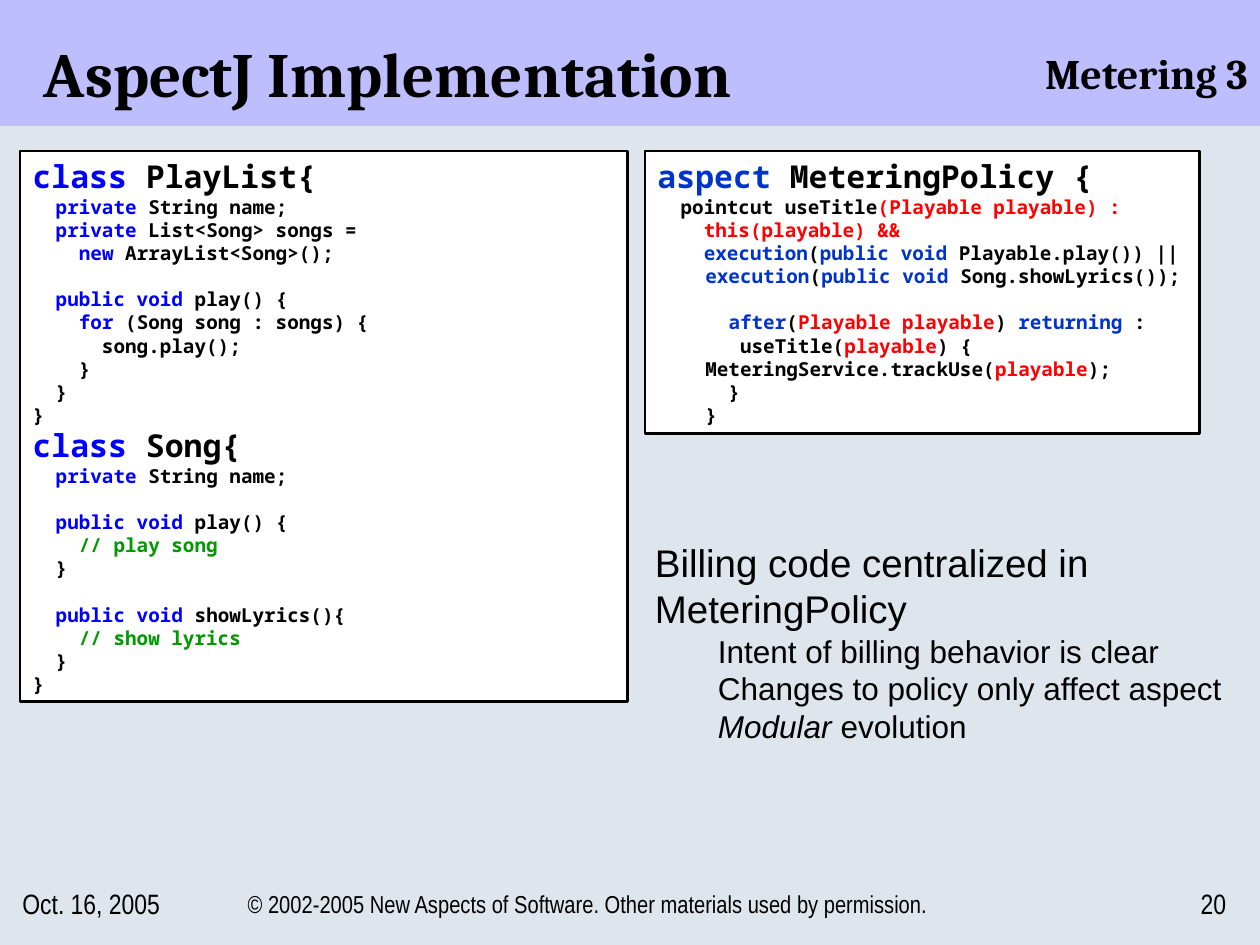
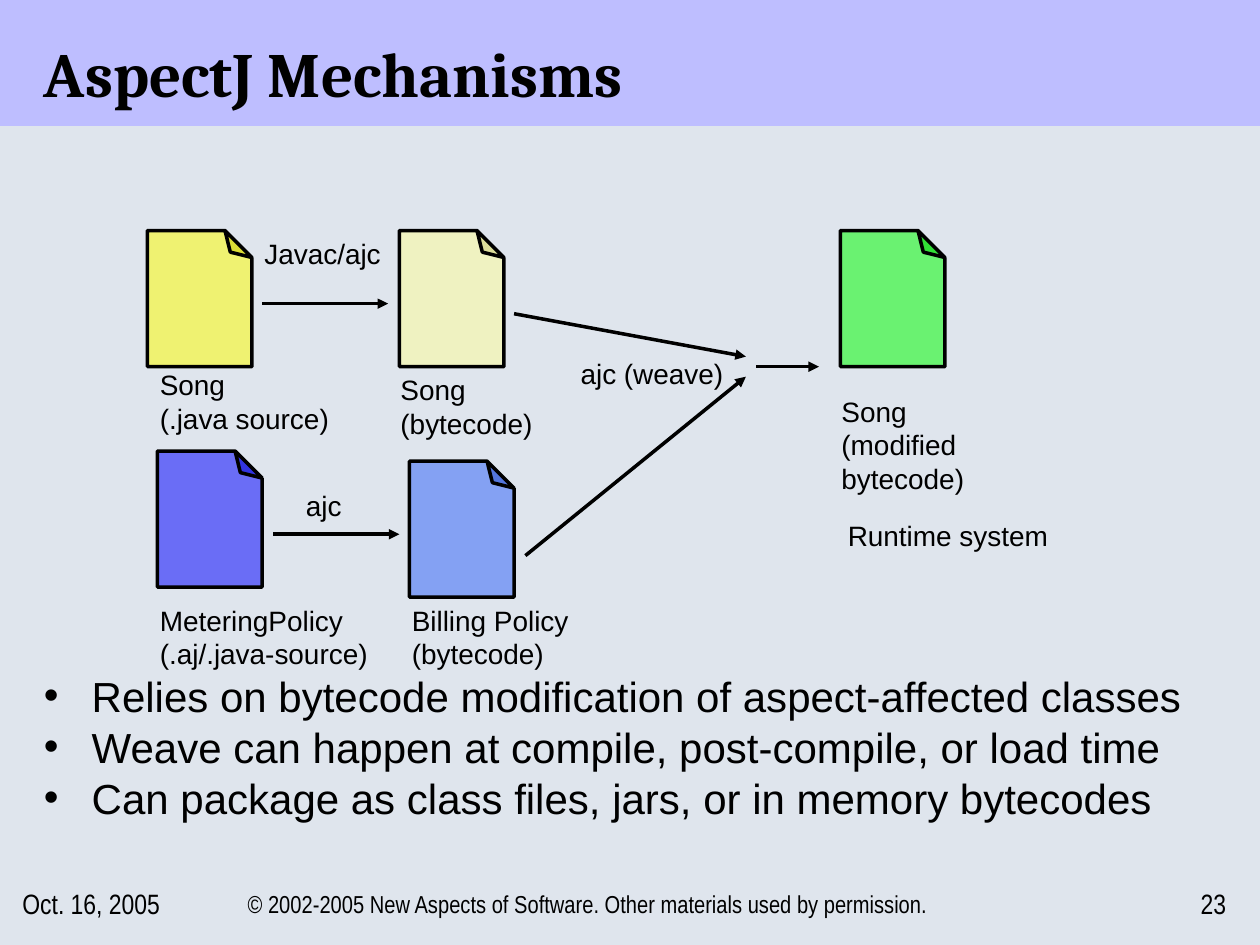
from lxml.etree import SubElement
from pptx import Presentation
from pptx.dml.color import RGBColor
from pptx.enum.shapes import MSO_CONNECTOR as Connector, MSO_SHAPE as Shape
from pptx.enum.text import MSO_ANCHOR as Anchor, PP_ALIGN as Align
from pptx.oxml.ns import qn
from pptx.util import Inches, Pt

COLORS = {
    "background": "DFE5ED", "band": "BEBEFF", "black": "000000", "white": "FFFFFF",
    "keyword": "0000FF", "aspect": "0033CC", "playable": "FF0000", "comment": "009900",
    "source": "FFFF00", "bytecode": "FFFF99", "woven": "00FF00",
    "policy": "0000FF", "policy_bytecode": "3264FA",
}
SERIF, SANS, NARROW, MONO = "Cambria", "Arial", "Arial Narrow", "Noto Sans Mono"

DATE = "Oct. 16, 2005"
COPYRIGHT = "© 2002-2005 New Aspects of Software. Other materials used by permission."


def key(text):
    return text, "keyword"


def asp(text):
    return text, "aspect"


def red(text):
    return text, "playable"


def note(text):
    return text, "comment"


# Code lines are lists of runs: plain strings are black, an empty line is a gap.
PLAYLIST_CODE = [
    [key("class"), " PlayList{"],
    ["  ", key("private"), " String name;"],
    ["  ", key("private"), " List<Song> songs ="],
    ["    ", key("new"), " ArrayList<Song>();"],
    [],
    ["  ", key("public void"), " play() {"],
    ["    ", key("for"), " (Song song : songs) {"],
    ["      song.play();"],
    ["    }"],
    ["  }"],
    ["}"],
    [key("class"), " Song{"],
    ["  ", key("private"), " String name;"],
    [],
    ["  ", key("public void"), " play() {"],
    [note("    // play song")],
    ["  }"],
    [],
    ["  ", key("public void"), " showLyrics(){"],
    [note("    // show lyrics")],
    ["  }"],
    ["}"],
]
POINTCUT_CODE = [
    [asp("aspect"), " MeteringPolicy {"],
    ["  pointcut useTitle", red("(Playable playable) :")],
    [red("    this(playable) &&")],
    ["    ", asp("execution"), "(", asp("public void"), " Playable.play()) ||"],
]
ADVICE_CODE = [
    [asp("execution"), "(", asp("public void"), " Song.showLyrics());"],
    [],
    ["  ", asp("after"), "(", red("Playable playable"), ") ", asp("returning"), " :"],
    ["   useTitle(", red("playable"), ") {"],
    ["MeteringService.trackUse(", red("playable"), ");"],
    ["  }"],
    ["}"],
]
BILLING = "Billing code centralized in MeteringPolicy"
BENEFITS = ["Intent of billing behavior is clear", "Changes to policy only affect aspect"]

# left, top, fill
FILES = [
    (3.17, 1.83, "bytecode"),
    (1.17, 1.83, "source"),
    (6.67, 1.83, "woven"),
    (1.25, 3.58, "policy"),
    (3.25, 3.66, "policy_bytecode"),
]
FILE_SIZE = (0.83, 1.08)
# left, top, width, height, lines
LABELS = [
    (1.17, 2.87, 1.73, 0.64, ["Song", "(.java source)"]),
    (3.08, 2.91, 1.42, 0.64, ["Song (bytecode)"]),
    (3.17, 4.74, 1.92, 0.64, ["Billing Policy (bytecode)"]),
    (1.17, 4.74, 1.92, 0.64, ["MeteringPolicy (.aj/.java-source)"]),
    (6.58, 3.08, 1.42, 0.9, ["Song (modified bytecode)"]),
    (2, 1.83, 1.27, 0.37, ["Javac/ajc"]),
    (2.33, 3.83, 1.27, 0.37, ["ajc"]),
    (4.51, 2.78, 1.5, 0.37, ["ajc (weave)"]),
    (6.63, 4.07, 1.79, 0.37, ["Runtime system"]),
]
# start x, start y, end x, end y
ARROWS = [
    (2.08, 2.41, 3.08, 2.41),
    (2.17, 4.24, 3.17, 4.24),
    (4.17, 4.41, 5.92, 2.99),
    (4.08, 2.49, 5.92, 2.83),
    (6, 2.91, 6.5, 2.91),
]
MECHANISMS = [
    "Relies on bytecode modification of aspect-affected classes",
    "Weave can happen at compile, post-compile, or load time",
    "Can package as class files, jars, or in memory bytecodes",
]


def color(name):
    return RGBColor.from_string(COLORS[name])


def add_box(page, at, anchor=Anchor.TOP):
    box = page.shapes.add_textbox(*map(Inches, at))
    box.text_frame.word_wrap = True
    box.text_frame.vertical_anchor = anchor
    return box.text_frame


def add_shape(page, kind, at, fill, line_width=0):
    shape = page.shapes.add_shape(kind, *map(Inches, at))
    shape.shadow.inherit = False
    shape.fill.solid()
    shape.fill.fore_color.rgb = color(fill)
    if line_width:
        shape.line.color.rgb = color("black")
        shape.line.width = Pt(line_width)
    else:
        shape.line.fill.background()
    return shape


def add_para(frame, runs, size, font, bold=False, align=Align.LEFT, indent=0):
    """Append a paragraph, using the frame's empty first one when it is free."""
    first = frame.paragraphs[0]
    para = frame.add_paragraph() if first.runs else first
    para.alignment = align
    if indent:
        para._p.get_or_add_pPr().set("marL", str(Inches(indent)))
    for run in runs:
        text, shade = (run, "black") if isinstance(run, str) else run
        span = para.add_run()
        span.text = text
        span.font.name = font
        span.font.size = Pt(size)
        span.font.bold = bold
        span.font.color.rgb = color(shade)
    return para


def add_code(frame, lines, indent=0):
    """Add code lines; a declaration at the left margin is set larger."""
    gap = False
    for runs in lines:
        if not runs:
            gap = True
            continue
        declares = runs[0] in (key("class"), asp("aspect"))
        para = add_para(frame, runs, 18 if declares else 11, MONO, True, indent=indent)
        if gap:
            para.space_before = Pt(13.2)
        gap = False


def add_code_panel(page, at):
    frame = add_shape(page, Shape.RECTANGLE, at, "white", 1.5).text_frame
    frame.word_wrap = True
    frame.vertical_anchor = Anchor.TOP
    return frame


def add_file(page, left, top, fill):
    """Draw a translucent sheet with its folded corner at the top right."""
    sheet = add_shape(page, Shape.FOLDED_CORNER, (left, top, *FILE_SIZE), fill, 2)
    properties = sheet.element.spPr
    properties.find(qn("a:xfrm")).set("flipV", "1")
    guides = properties.find(qn("a:prstGeom")).find(qn("a:avLst"))
    for guide in list(guides):
        guides.remove(guide)
    fold = SubElement(guides, qn("a:gd"))
    fold.set("name", "adj")
    fold.set("fmla", "val 25800")
    tint = properties.find(qn("a:solidFill")).find(qn("a:srgbClr"))
    SubElement(tint, qn("a:alpha")).set("val", "52000")


def add_arrow(page, ends):
    arrow = page.shapes.add_connector(Connector.STRAIGHT, *map(Inches, ends))
    arrow.line.color.rgb = color("black")
    arrow.line.width = Pt(2)
    outline = arrow.element.spPr.find(qn("a:ln"))
    SubElement(outline, qn("a:tailEnd")).set("type", "triangle")
    SubElement(arrow.element.spPr, qn("a:effectLst"))


def add_bullet(frame, text):
    first = not frame.paragraphs[0].runs
    para = add_para(frame, [text], 24, SANS, indent=0.38)
    para.line_spacing = 0.8
    para.space_before = Pt(0 if first else 6)
    properties = para._p.get_or_add_pPr()
    properties.set("indent", str(-Inches(0.38)))
    SubElement(properties, qn("a:buFont")).set("typeface", SANS)
    SubElement(properties, qn("a:buChar")).set("char", "•")


def add_page(deck, title, number):
    """Add a slide with the shared background, title band and footer."""
    page = deck.slides.add_slide(deck.slide_layouts[6])
    page.background.fill.solid()
    page.background.fill.fore_color.rgb = color("background")
    add_shape(page, Shape.RECTANGLE, (0, 0, 10, 1), "band")
    add_para(add_box(page, (0.25, 0.17, 9.58, 0.75), Anchor.BOTTOM), [title], 36, SERIF, True)
    footer = [
        (1.75, 5.83, COPYRIGHT, 14, Align.CENTER),
        (9.25, 0.58, str(number), 16, Align.RIGHT),
        (0.08, 1.67, DATE, 16, Align.LEFT),
    ]
    for left, width, text, size, align in footer:
        frame = add_box(page, (left, 6.92, width, 0.5), Anchor.MIDDLE)
        add_para(frame, [text], size, NARROW, align=align)
    return page


def build_implementation(deck):
    page = add_page(deck, "AspectJ Implementation", 20)
    add_code(add_code_panel(page, (0.16, 1.2, 4.82, 4.37)), PLAYLIST_CODE)

    summary = add_box(page, (5.1, 4.23, 4.7, 2.69))
    add_para(summary, [BILLING], 22, SANS)
    for benefit in BENEFITS:
        add_para(summary, [benefit], 18, SANS, indent=0.5)
    evolution = add_para(summary, ["Modular ", "evolution"], 18, SANS, indent=0.5)
    evolution.runs[0].font.italic = True

    aspect_panel = add_code_panel(page, (5.12, 1.2, 4.4, 2.24))
    add_code(aspect_panel, POINTCUT_CODE)
    add_code(aspect_panel, ADVICE_CODE, indent=0.38)

    corner = add_box(page, (4.4, 0.33, 5.6, 0.5))
    add_para(corner, ["Metering 3"], 24, SERIF, True, Align.RIGHT)


def build_mechanisms(deck):
    page = add_page(deck, "AspectJ Mechanisms", 23)
    for file in FILES:
        add_file(page, *file)
    for ends in ARROWS:
        add_arrow(page, ends)
    for *at, lines in LABELS:
        frame = add_box(page, at)
        for line in lines:
            add_para(frame, [line], 16, SANS)
    points = add_box(page, (0.25, 5.35, 9.44, 1.35))
    for text in MECHANISMS:
        add_bullet(points, text)


def main():
    deck = Presentation()
    deck.slide_width, deck.slide_height = Inches(10), Inches(7.5)
    build_implementation(deck)
    build_mechanisms(deck)
    deck.save("out.pptx")


if __name__ == "__main__":
    main()
